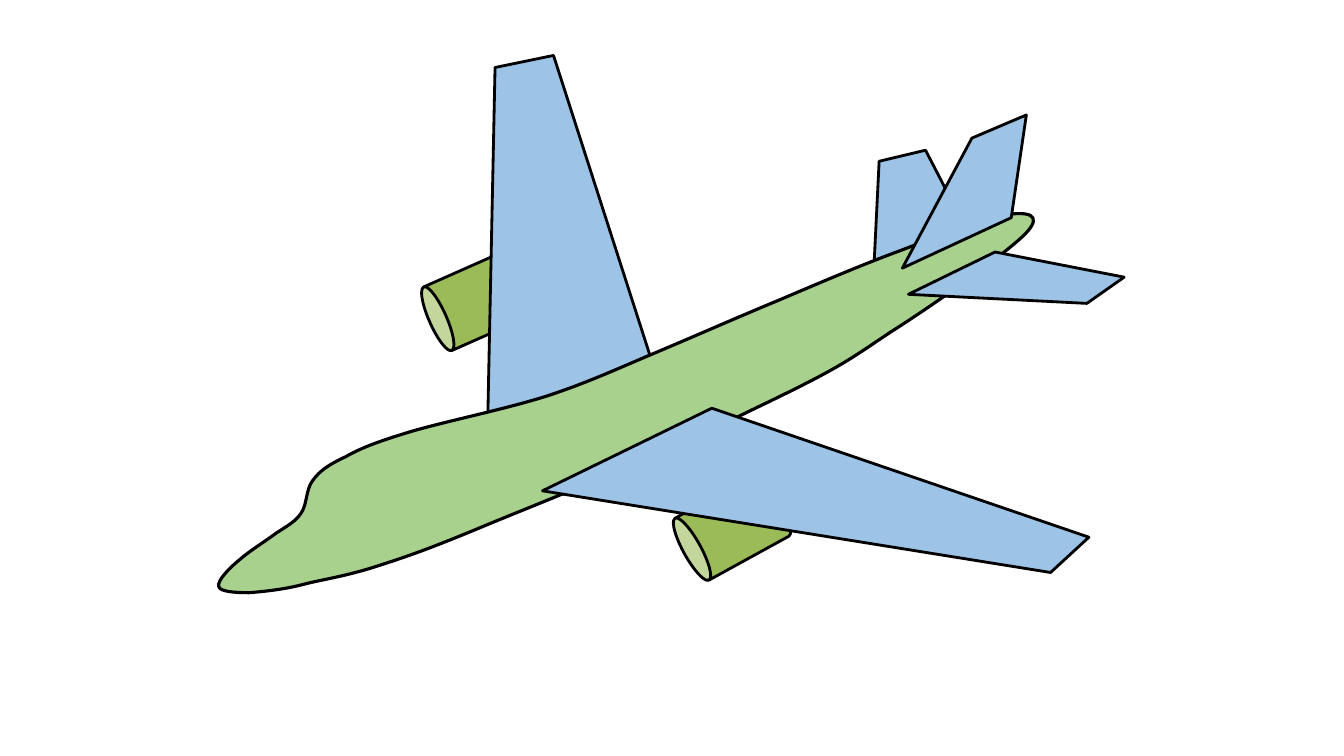
from lxml.etree import SubElement
from pptx import Presentation
from pptx.dml.color import RGBColor
from pptx.enum.shapes import MSO_SHAPE
from pptx.oxml.ns import qn
from pptx.util import Inches, Pt

WIDTH, HEIGHT = 13.33, 7.5
BLUE, GREEN, OLIVE, BLACK = "9DC3E6", "A9D18E", "9BBB59", "000000"

# Outlines and boxes are in units of a 13.33 by 7.5 drawing grid.
ENGINES = [((4.43, 2.41, 0.69, 1.12), 246.1),
           ((6.91, 4.69, 0.70, 1.08), 241.2)]
FAR_WING = [(4.91, 0.67), (5.49, 0.55), (6.48, 3.63), (4.83, 4.53)]
FAR_TAIL = [(8.72, 1.6), (9.18, 1.49), (9.63, 2.36), (8.67, 2.61)]
NEAR_TAIL = [(9.87, 2.5), (11.15, 2.75), (10.78, 3.01), (9.01, 2.92)]
FIN = [(9.64, 1.37), (10.18, 1.14), (10.03, 2.16), (8.95, 2.66)]
NEAR_WING = [(7.06, 4.05), (10.8, 5.33), (10.42, 5.68), (5.38, 4.87)]

# Start point, then two control points and an end point for each curve.
FUSELAGE = [
    (3.73, 5.62),
    (3.42, 5.72), (3.19, 5.75), (3, 5.8),
    (2.81, 5.85), (2.6, 5.87), (2.47, 5.88),
    (2.33, 5.88), (2.18, 5.87), (2.17, 5.82),
    (2.15, 5.76), (2.28, 5.63), (2.38, 5.55),
    (2.47, 5.47), (2.63, 5.37), (2.71, 5.31),
    (2.79, 5.25), (2.92, 5.19), (2.98, 5.1),
    (3.05, 5.01), (3.03, 4.86), (3.1, 4.77),
    (3.17, 4.67), (3.26, 4.61), (3.43, 4.53),
    (3.59, 4.44), (3.75, 4.38), (4.08, 4.28),
    (4.42, 4.18), (5.01, 4.06), (5.42, 3.93),
    (5.82, 3.8), (6.12, 3.66), (6.5, 3.5),
    (6.88, 3.34), (7.31, 3.15), (7.72, 2.98),
    (8.12, 2.81), (8.54, 2.63), (8.92, 2.49),
    (9.29, 2.35), (9.77, 2.16), (9.98, 2.13),
    (10.18, 2.1), (10.36, 2.12), (10.17, 2.32),
    (9.98, 2.51), (9.3, 3), (8.84, 3.29),
    (8.39, 3.59), (8.35, 3.64), (7.43, 4.08),
    (6.52, 4.53), (5.48, 4.94), (4.87, 5.19),
    (4.25, 5.45), (4.04, 5.52), (3.73, 5.62),
]


def color(value):
    """Turn a hex string into a colour."""
    return RGBColor.from_string(value)


def paint(shape, fill, weight=2):
    """Give a shape a plain fill and a black line with round corners."""
    shape.shadow.inherit = False
    shape.fill.solid()
    shape.fill.fore_color.rgb = color(fill)
    shape.line.color.rgb = color(BLACK)
    shape.line.width = Pt(weight)
    SubElement(shape.line._get_or_add_ln(), qn("a:round"))


def locate(point, box):
    """Map a grid point into a box given in inches."""
    left, top, width, height = box
    return (Inches(left + point[0] / WIDTH * width),
            Inches(top + point[1] / HEIGHT * height))


def add_outline(group, points, box, fill, weight=2):
    """Draw a closed straight-sided outline."""
    start, *rest = [locate(point, box) for point in points]
    builder = group.shapes.build_freeform(*start, scale=1.0)
    builder.add_line_segments(rest, close=True)
    shape = builder.convert_to_shape()
    paint(shape, fill, weight)
    return shape


def bend(shape):
    """Turn each three straight segments of an outline into one curve."""
    segments = list(shape.element.iter(qn("a:lnTo")))
    for first in range(0, len(segments) - 2, 3):
        curve = segments[first]
        curve.tag = qn("a:cubicBezTo")
        for segment in segments[first + 1:first + 3]:
            curve.append(segment[0])
            segment.getparent().remove(segment)


def add_engine(group, place, angle, box):
    """Draw one engine as a turned can."""
    left, top, width, height = place
    x, y = locate((left, top), box)
    right, bottom = locate((left + width, top + height), box)
    engine = group.shapes.add_shape(MSO_SHAPE.CAN, x, y, right - x, bottom - y)
    engine.rotation = angle
    paint(engine, OLIVE)


def add_airplane(page, box):
    """Build the grouped airplane, from the far side to the near side."""
    group = page.shapes.add_group_shape()
    for place, angle in ENGINES:
        add_engine(group, place, angle, box)
    for panel in (FAR_WING, FAR_TAIL):
        add_outline(group, panel, box, BLUE)
    bend(add_outline(group, FUSELAGE, box, GREEN, 2.25))
    for panel in (NEAR_TAIL, FIN, NEAR_WING):
        add_outline(group, panel, box, BLUE)


deck = Presentation()
deck.slide_width, deck.slide_height = Inches(WIDTH), Inches(HEIGHT)
page = deck.slides.add_slide(deck.slide_layouts[6])
add_airplane(page, (0, 0, WIDTH, HEIGHT))
deck.save("out.pptx")
